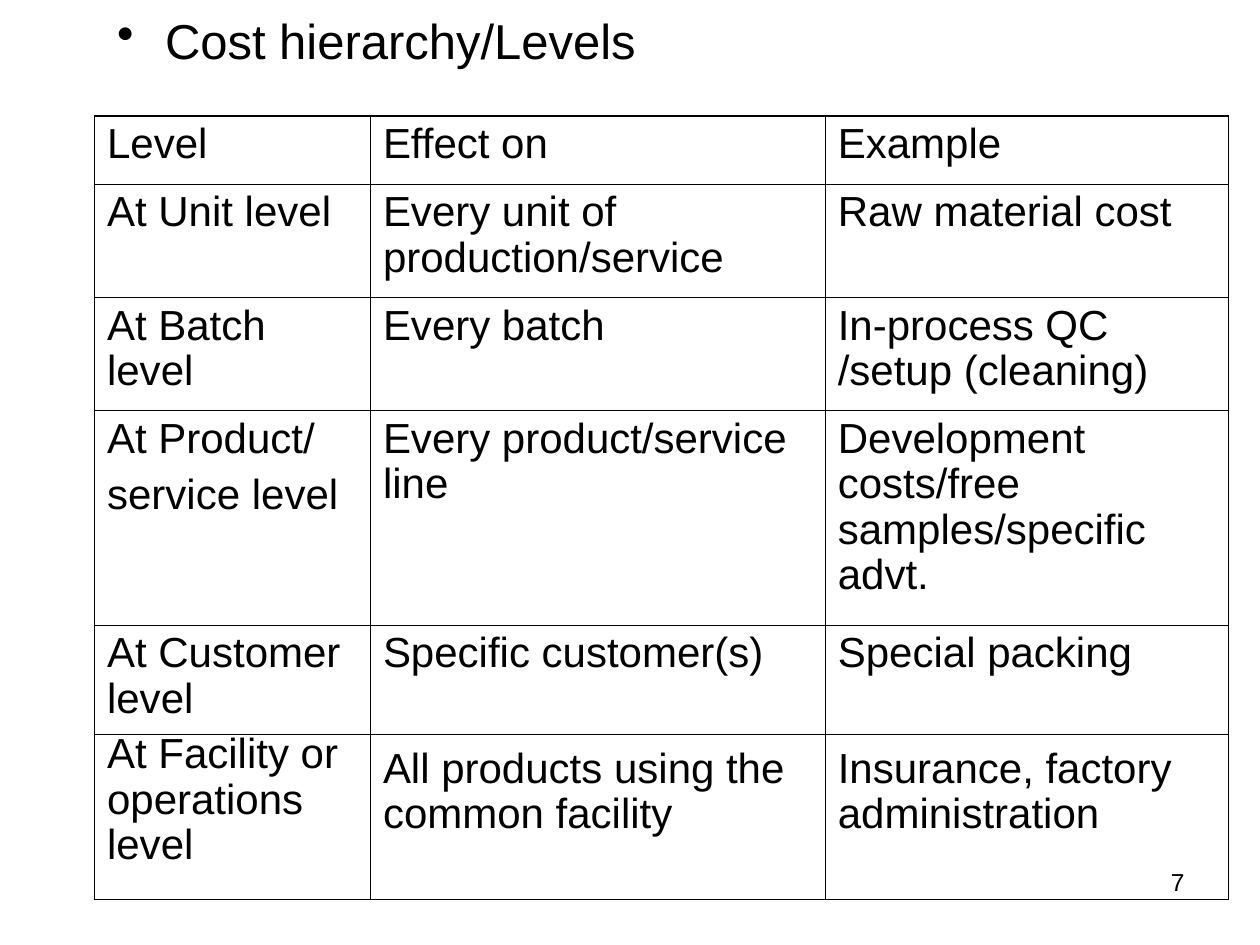
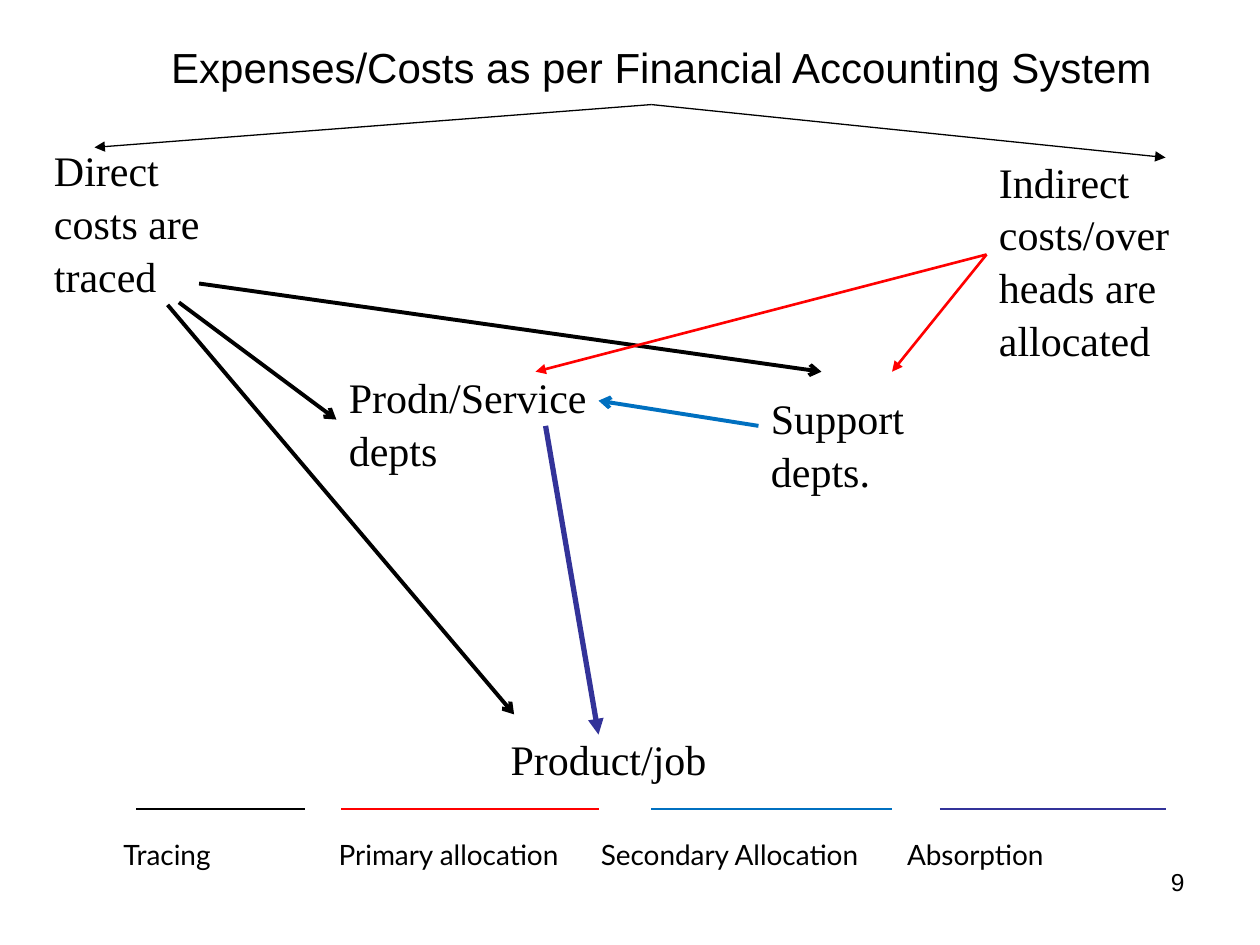
from lxml.etree import SubElement
from pptx import Presentation
from pptx.dml.color import RGBColor
from pptx.enum.shapes import MSO_CONNECTOR
from pptx.enum.text import MSO_ANCHOR, PP_ALIGN
from pptx.oxml.ns import qn
from pptx.util import Inches, Pt

BLACK = RGBColor(0x00, 0x00, 0x00)
RED = RGBColor(0xFF, 0x00, 0x00)
BLUE = RGBColor(0x00, 0x70, 0xC0)
INDIGO = RGBColor(0x33, 0x33, 0x99)

SANS, SERIF, LABEL = "Arial", "Times New Roman", "Lato"
THICK, THIN = 1.08, 0.45

LEVELS = [
    ["Level", "Effect on", "Example"],
    ["At Unit level", "Every unit of production/service", "Raw material cost"],
    ["At Batch level", "Every batch", "In-process QC /setup (cleaning)"],
    ["At Product/\nservice level", "Every product/service line",
     "Development costs/free samples/specific advt."],
    ["At Customer level\nAt Facility or operations level",
     "Specific customer(s)\nAll products using the common facility",
     "Special packing\nInsurance, factory administration"],
]


class Deck:
    def __init__(self):
        self.prs = Presentation()
        self.prs.slide_width = Inches(10)
        self.prs.slide_height = Inches(7.5)
        self.slide = None

    def start(self, number, title, at, size, align):
        """Add a slide with its title and page number."""
        self.slide = self.prs.slides.add_slide(self.prs.slide_layouts[5])
        head = self.slide.shapes.title
        head.left, head.top, head.width, head.height = map(Inches, at)
        head.text_frame.vertical_anchor = MSO_ANCHOR.TOP
        para = self.fill(head.text_frame, title, size, SANS, align)
        self.text(number, (7.17, 6.83, 2.33, 0.52), 14, SANS, PP_ALIGN.RIGHT)
        return para

    def fill(self, frame, text, size, font, align=PP_ALIGN.LEFT, space=None):
        """Write the text in one style and return its first paragraph."""
        frame.text = text
        for para in frame.paragraphs:
            para.alignment = align
            para.line_spacing = space
            para.font.size = Pt(size)
            para.font.name = font
            para.font.color.rgb = BLACK
        return frame.paragraphs[0]

    def text(self, text, at, size=24, font=SERIF, align=PP_ALIGN.LEFT,
             space=None, wrap=True):
        box = self.slide.shapes.add_textbox(*map(Inches, at))
        box.text_frame.word_wrap = wrap
        self.fill(box.text_frame, text, size, font, align, space)
        return box

    def node(self, text, at, **style):
        """Add a serif label of the cost flow."""
        return self.text(text, at, space=1.05, **style)

    def bullet(self, para, indent):
        props = para._p.get_or_add_pPr()
        props.set("marL", str(Inches(indent)))
        props.set("indent", str(-Inches(indent)))
        mark = props.makeelement(qn("a:buChar"), {"char": "•"})
        props.insert_element_before(mark, "a:tabLst", "a:defRPr")

    def tabs(self, para, stops):
        props = para._p.get_or_add_pPr()
        row = props.makeelement(qn("a:tabLst"), {})
        props.insert_element_before(row, "a:defRPr")
        for stop in stops:
            SubElement(row, qn("a:tab"), pos=str(Inches(stop)), algn="l")

    def line(self, start, end, color=BLACK, width=0.75, tip=None, source=None):
        """Draw a line; source is the box whose left side it leaves."""
        line = self.slide.shapes.add_connector(
            MSO_CONNECTOR.STRAIGHT, *map(Inches, start + end))
        if source:
            line.begin_connect(source, 1)
        line.line.color.rgb = color
        line.line.width = Pt(width)
        props = line._element.spPr
        if tip:
            SubElement(props.find(qn("a:ln")), qn("a:tailEnd"), type=tip)
        SubElement(props, qn("a:effectLst"))

    def border(self, cell, widths):
        """Set the left, right, top and bottom border widths in points."""
        props = cell._tc.get_or_add_tcPr()
        for spot, (side, width) in enumerate(zip("LRTB", widths)):
            edge = props.makeelement(qn("a:ln" + side), {"w": str(Pt(width))})
            paint = SubElement(edge, qn("a:solidFill"))
            SubElement(paint, qn("a:srgbClr"), val=str(BLACK))
            props.insert(spot, edge)

    def table(self, rows, at, widths, heights, gaps):
        """Add a grid; gaps holds the space before later paragraphs by column."""
        count, span = len(rows), len(widths)
        grid = self.slide.shapes.add_table(count, span, *map(Inches, at)).table
        for col, width in zip(grid.columns, widths):
            col.width = Inches(width)
        for row, height in zip(grid.rows, heights):
            row.height = Inches(height)
        for r, row in enumerate(rows):
            for c, text in enumerate(row):
                cell = grid.cell(r, c)
                cell.fill.background()
                self.fill(cell.text_frame, text, 24, SANS, space=0.97)
                for para in cell.text_frame.paragraphs[1:]:
                    para.space_before = Pt(gaps[c])
                outer = (c == 0, c == span - 1, r == 0, r == count - 1)
                self.border(cell, [THICK if edge else THIN for edge in outer])


def levels(deck):
    title = deck.start("7", "Cost hierarchy/Levels", (0.83, 0.03, 5.17, 0.89),
                       28, PP_ALIGN.LEFT)
    deck.bullet(title, 0.38)
    deck.table(LEVELS, (0.75, 0.92, 9, 6.22), (2.19, 3.61, 3.2),
               (0.54, 0.9, 0.9, 1.7, 2.18), (6, 40, 40))
    deck.line((0.75, 5.83), (9.75, 5.83))


def flow(deck):
    deck.start("9", "Expenses/Costs as per Financial Accounting System",
               (0.75, 0.28, 9, 0.6), 24, PP_ALIGN.CENTER)
    for end in ((9.25, 1.25), (0.75, 1.17)):
        deck.line((5.17, 0.83), end, tip="triangle")

    deck.node("Direct costs are traced", (0.33, 1.08, 1.5, 1.3))
    shared = deck.node("Indirect costs/overheads are allocated",
                       (7.83, 1.17, 1.67, 1.7))
    deck.node("Product/job", (3.08, 5.75, 3.5, 0.5), align=PP_ALIGN.CENTER)
    deck.node("Prodn/Service depts", (2.67, 2.88, 2.17, 0.9))
    deck.node("Support depts.", (6.02, 3.05, 2.12, 0.5), wrap=False)

    for start, end in (((1.42, 2.4), (2.67, 3.33)),
                       ((1.33, 2.42), (4.08, 5.67)),
                       ((1.58, 2.25), (6.52, 2.95))):
        deck.line(start, end, BLACK, 2.25, "arrow")
    for end in ((4.25, 2.95), (7.08, 2.95)):
        deck.line((7.83, 2.02), end, RED, 1.5, "triangle", shared)
    deck.line((6.02, 3.38), (4.75, 3.18), BLUE, 2.25, "arrow")
    deck.line((4.33, 3.38), (4.75, 5.83), INDIGO, 3, "triangle")

    key = deck.text("Tracing\tPrimary allocation\tSecondary Allocation\tAbsorption",
                    (0.88, 6.6, 8.58, 0.4), 16, LABEL)
    deck.tabs(key.text_frame.paragraphs[0], (1.71, 3.79, 6.22))
    for left, right, color in ((1.08, 2.42, BLACK), (2.71, 4.75, RED),
                               (5.17, 7.08, BLUE), (7.46, 9.25, INDIGO)):
        deck.line((left, 6.42), (right, 6.42), color, 1.5)


def main():
    deck = Deck()
    levels(deck)
    flow(deck)
    deck.prs.save("out.pptx")


if __name__ == "__main__":
    main()
